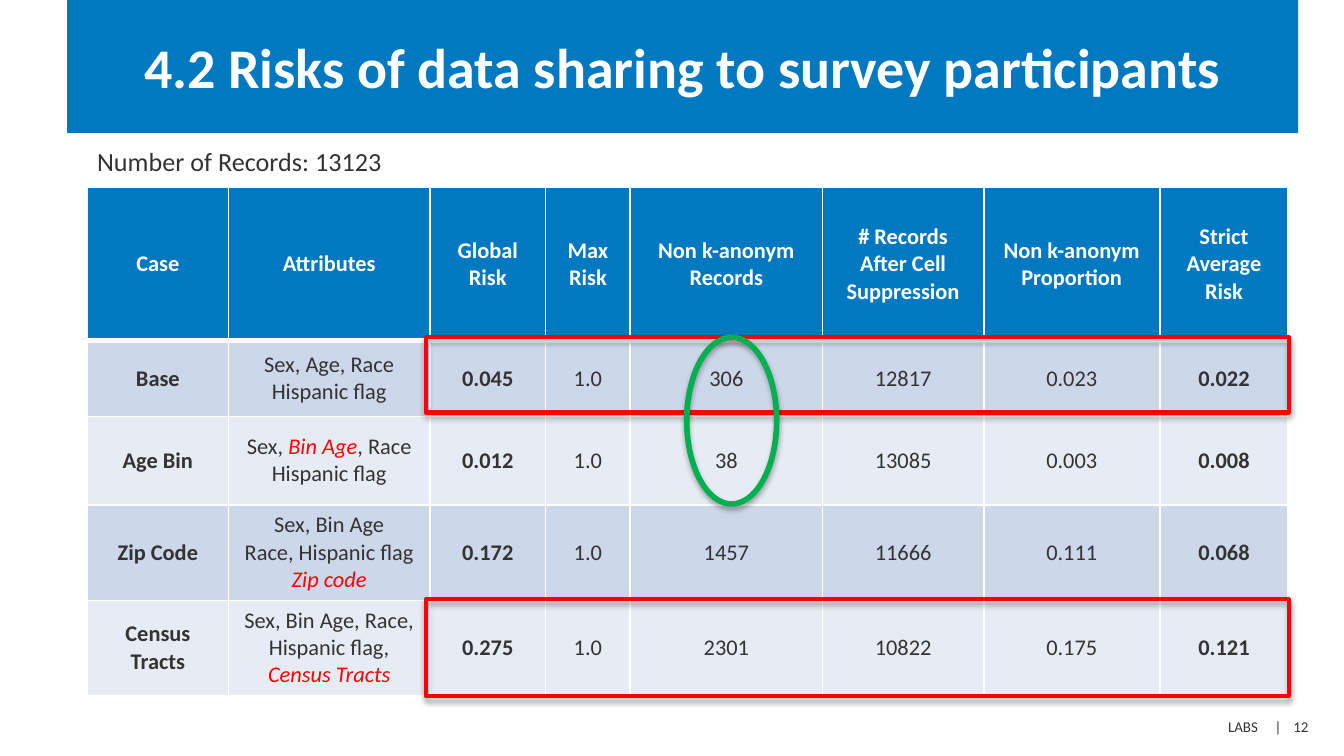
from lxml.etree import SubElement as Sub
from pptx import Presentation
from pptx.dml.color import RGBColor as RGB
from pptx.enum.shapes import MSO_SHAPE as Shape
from pptx.enum.text import MSO_ANCHOR as Anchor, PP_ALIGN as Align
from pptx.oxml.ns import qn
from pptx.util import Pt

HUES = {
    "blue": "0079C1", "white": "FFFFFF", "text": "333333", "red": "FF0000",
    "green": "00B050", "dark": "CCD7E9", "light": "E7ECF4", "shade": "000000",
}
COLS = [75.6, 108, 61.9, 45.4, 103, 86.4, 94.3, 68.8]
ROWS = [82, 40.6, 47.5, 51.1, 51.1]
BOLD = (0, 2, 7)  # bold columns in the body

# Asterisks enclose the changed attribute; newlines part the paragraphs
DATA = [
    ["Case", "Attributes", "Global\nRisk", "Max\nRisk", "Non k-anonym\nRecords",
     "# Records\nAfter Cell Suppression", "Non k-anonym\nProportion",
     "Strict Average Risk"],
    ["Base", "Sex, Age, Race Hispanic flag",
     "0.045", "1.0", "306", "12817", "0.023", "0.022"],
    ["Age Bin", "Sex, *Bin Age*, Race Hispanic flag",
     "0.012", "1.0", "38", "13085", "0.003", "0.008"],
    ["Zip Code", "Sex, Bin Age\nRace, Hispanic flag\n*Zip code*",
     "0.172", "1.0", "1457", "11666", "0.111", "0.068"],
    ["Census Tracts", "Sex, Bin Age, Race, Hispanic flag,\n*Census Tracts*",
     "0.275", "1.0", "2301", "10822", "0.175", "0.121"],
]


def color(name):
    return RGB.from_string(HUES[name])


def style(font, size, hue, bold=False):
    font.name = "Calibri"
    font.size = Pt(size)
    font.bold = bold
    font.color.rgb = color(hue)


def add_title(slide, text):
    bar = slide.shapes.add_shape(Shape.RECTANGLE, Pt(36), Pt(0), Pt(659.5), Pt(71.3))
    bar.shadow.inherit = False
    bar.fill.solid()
    bar.fill.fore_color.rgb = color("blue")
    bar.line.fill.background()
    frame = bar.text_frame
    frame.text = text
    frame.vertical_anchor = Anchor.MIDDLE
    par = frame.paragraphs[0]
    par.alignment = Align.CENTER
    style(par.runs[0].font, 30, "white", True)


def add_text(slide, box, text, size, tabs=()):
    frame = slide.shapes.add_textbox(*map(Pt, box)).text_frame
    frame.word_wrap = True
    frame.margin_left = frame.margin_right = 0
    frame.text = text
    par = frame.paragraphs[0]
    if tabs:
        stops = Sub(par._p.get_or_add_pPr(), qn("a:tabLst"))
        for pos in tabs:
            Sub(stops, qn("a:tab"), pos=str(Pt(pos)), algn="l")
    style(par.runs[0].font, size, "text")


def set_edges(cell, row):
    props = cell._tc.get_or_add_tcPr()
    wide = {"T": row == 1, "B": row == 0}
    for side in "LRTB":
        width = Pt(3 if wide.get(side) else 1)
        line = Sub(props, qn(f"a:ln{side}"), w=str(width))
        Sub(Sub(line, qn("a:solidFill")), qn("a:srgbClr"), val=HUES["white"])


def fill_cell(cell, text, row, col):
    set_edges(cell, row)
    cell.fill.solid()
    head = row == 0
    cell.fill.fore_color.rgb = color("blue" if head else "dark" if row % 2 else "light")
    cell.vertical_anchor = Anchor.MIDDLE
    frame = cell.text_frame
    for num, line in enumerate(text.split("\n")):
        par = frame.add_paragraph() if num else frame.paragraphs[0]
        par.alignment = Align.CENTER
        for idx, part in enumerate(line.split("*")):
            if not part:
                continue
            run = par.add_run()
            run.text = part
            mark = idx % 2 == 1
            hue = "white" if head else "red" if mark else "text"
            style(run.font, 12, hue, head or col in BOLD)
            run.font.italic = mark


def add_grid(slide):
    grid = slide.shapes.add_table(len(ROWS), len(COLS), Pt(46.8), Pt(100.5),
                                  Pt(sum(COLS)), Pt(sum(ROWS))).table
    for col, width in zip(grid.columns, COLS):
        col.width = Pt(width)
    for row, high in zip(grid.rows, ROWS):
        row.height = Pt(high)
    for row, line in enumerate(DATA):
        for col, text in enumerate(line):
            fill_cell(grid.cell(row, col), text, row, col)


def add_ring(slide, kind, box, hue, width):
    ring = slide.shapes.add_shape(kind, *map(Pt, box))
    ring.fill.background()
    ring.line.color.rgb = color(hue)
    ring.line.width = Pt(width)
    # Soft shadow straight below
    ring.shadow.inherit = False
    glow = Sub(ring._element.spPr.find(qn("a:effectLst")), qn("a:outerShdw"),
               blurRad=str(Pt(3.1)), dist=str(Pt(1.8)), dir="5400000", rotWithShape="0")
    tone = Sub(glow, qn("a:srgbClr"), val=HUES["shade"])
    Sub(tone, qn("a:alpha"), val="35000")


def main():
    deck = Presentation()
    deck.slide_width, deck.slide_height = Pt(720), Pt(405)
    slide = deck.slides.add_slide(deck.slide_layouts[6])

    # Footer and title
    add_text(slide, (657.9, 381, 52, 17), "LABS\t|\t12", 8, (25, 35))
    add_title(slide, "4.2 Risks of data sharing to survey participants")

    # Risk table with its caption
    add_grid(slide)
    add_text(slide, (52, 74.5, 270, 26), "Number of Records: 13123", 14)

    # Highlights
    for top, high in ((321.1, 51.8), (180.7, 40.3)):
        add_ring(slide, Shape.RECTANGLE, (228.2, top, 462.2, high), "red", 2.25)
    add_ring(slide, Shape.OVAL, (367.9, 180.7, 48.2, 89.3), "green", 3)

    deck.save("out.pptx")


if __name__ == "__main__":
    main()
